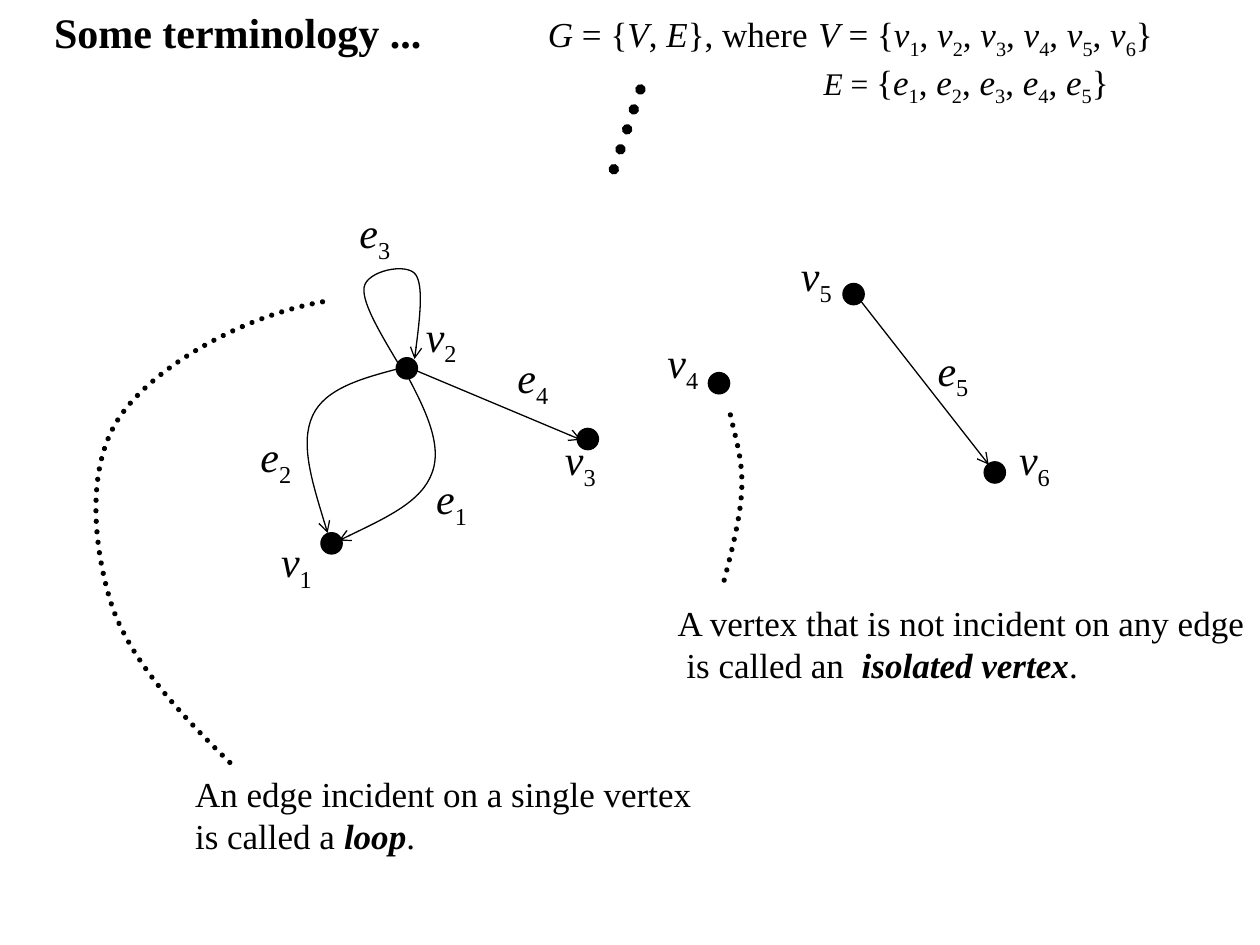
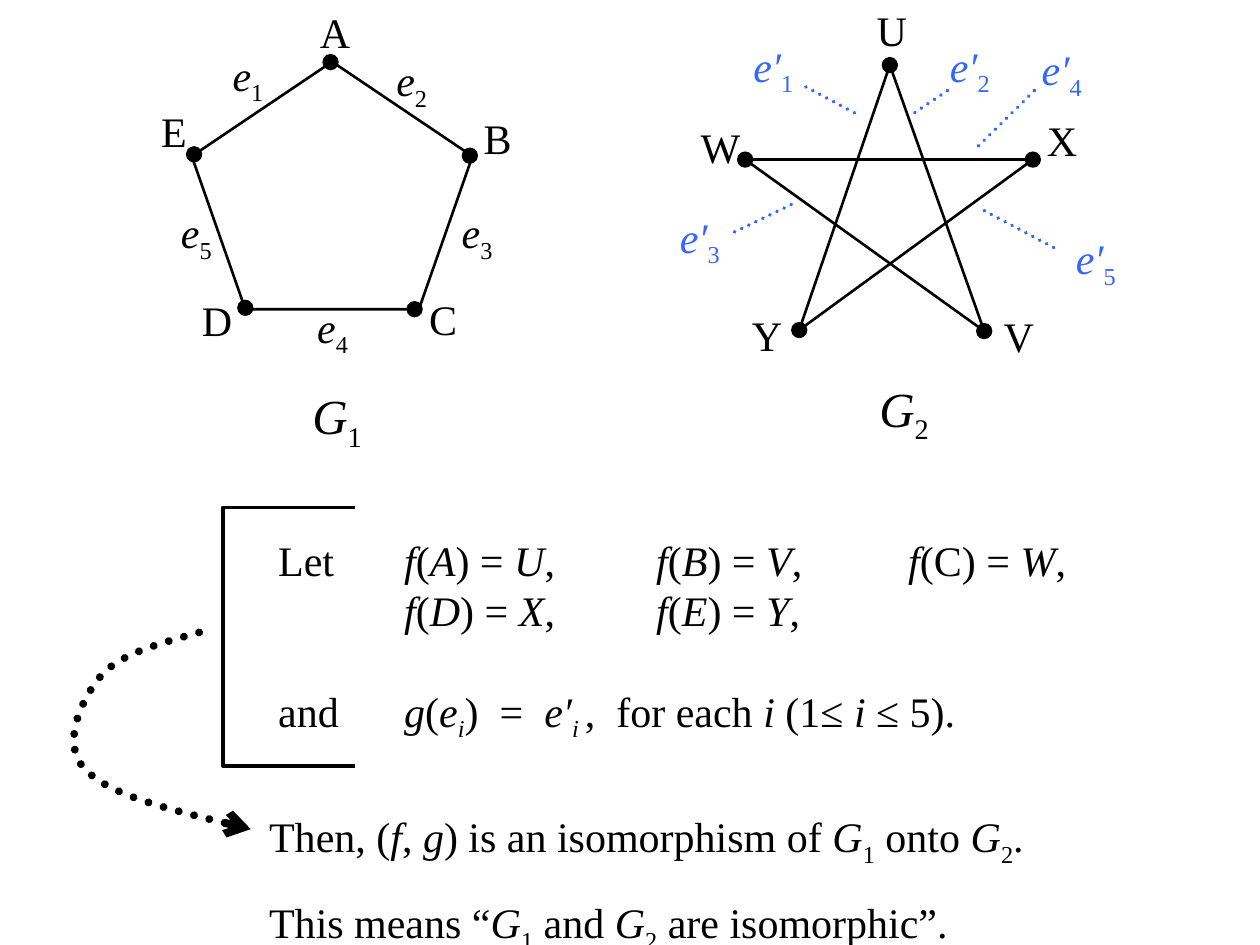
"""Builds two slides on graph terms and graph isomorphism."""
from dataclasses import dataclass

import lxml.etree
import pptx
import pptx.dml.color
import pptx.enum.dml
import pptx.enum.shapes
import pptx.enum.text
import pptx.oxml.ns
import pptx.util

Pt = pptx.util.Pt
qn = pptx.oxml.ns.qn
Kind = pptx.enum.shapes.MSO_SHAPE
Anchor = pptx.enum.text.MSO_ANCHOR
Align = pptx.enum.text.PP_ALIGN

BLACK = pptx.dml.color.RGBColor(0x00, 0x00, 0x00)
BLUE = pptx.dml.color.RGBColor(0x33, 0x66, 0xFF)
FONT = "Times New Roman"
MARKS = "/*_^+"


@dataclass
class Para:
    text: str
    indent: float = 0
    before: float = 0
    spacing: float | None = None
    tabs: tuple[float, ...] = ()


@dataclass
class Label:
    paras: list[Para]
    left: float
    top: float
    width: float
    height: float = 36
    size: float = 24
    color: pptx.dml.color.RGBColor = BLACK
    anchor: Anchor = Anchor.TOP
    align: Align = Align.LEFT
    wrap: bool = False


@dataclass
class Pen:
    width: float
    color: pptx.dml.color.RGBColor = BLACK
    dots: bool = False
    arrow: bool = False


@dataclass
class Curve:
    points: list[tuple[float, float]]
    pen: Pen


THIN = Pen(0.75)
EDGE = Pen(0.75, arrow=True)
SIDE = Pen(1.5)
NOTE = Pen(3, dots=True)
LEAD = Pen(2.25, BLUE, dots=True)


def ink(line, pen: Pen) -> None:
    """Apply a pen to a line format."""
    line.width = Pt(pen.width)
    line.color.rgb = pen.color
    node = line.color._xFill.getparent()
    if pen.dots:
        line.dash_style = pptx.enum.dml.MSO_LINE.ROUND_DOT
        node.set("cap", "rnd")
    if pen.arrow:
        lxml.etree.SubElement(node, qn("a:tailEnd")).set("type", "arrow")


def write(para, text: str, size: float) -> None:
    """Add runs: / italic, * bold, _ subscript, ^ smaller, + larger."""
    state = dict.fromkeys(MARKS, False)
    chunk = ""
    for char in text + "/":
        if char not in MARKS:
            chunk += char
            continue
        if chunk:
            run = para.add_run()
            run.text = chunk
            if state["/"]:
                run.font.italic = True
            if state["*"]:
                run.font.bold = True
            if state["_"]:
                run._r.get_or_add_rPr().set("baseline", "-25000")
            if state["^"] or state["+"]:
                run.font.size = Pt(size + (4 if state["+"] else -2))
            chunk = ""
        state[char] = not state[char]


def set_tabs(para, stops: tuple[float, ...]) -> None:
    """Give a paragraph left tab stops."""
    tabs = lxml.etree.SubElement(para._p.get_or_add_pPr(), qn("a:tabLst"))
    for stop in stops:
        lxml.etree.SubElement(tabs, qn("a:tab"), pos=str(Pt(stop)), algn="l")


def draw_label(slide, label: Label) -> None:
    """Draw a text box."""
    box = slide.shapes.add_textbox(
        Pt(label.left), Pt(label.top), Pt(label.width), Pt(label.height))
    frame = box.text_frame
    frame.word_wrap = label.wrap
    frame.auto_size = pptx.enum.text.MSO_AUTO_SIZE.SHAPE_TO_FIT_TEXT
    frame.vertical_anchor = label.anchor
    for index, item in enumerate(label.paras):
        para = frame.add_paragraph() if index else frame.paragraphs[0]
        para.alignment = label.align
        if item.indent:
            para._p.get_or_add_pPr().set("marL", str(Pt(item.indent)))
        if item.before:
            para.space_before = Pt(item.before)
        if item.spacing:
            para.line_spacing = item.spacing
        if item.tabs:
            set_tabs(para, item.tabs)
        write(para, item.text, label.size)
        para.font.name = FONT
        para.font.size = Pt(label.size)
        para.font.color.rgb = label.color


def draw_shape(slide, kind: Kind, left: float, top: float, width: float,
               height: float, pen: Pen):
    """Draw an unfilled preset shape."""
    shape = slide.shapes.add_shape(kind, Pt(left), Pt(top), Pt(width), Pt(height))
    shape.shadow.inherit = False
    shape.fill.background()
    ink(shape.line, pen)
    return shape


def draw_dot(slide, x: float, y: float, size: float) -> None:
    """Draw a vertex about its centre."""
    dot = draw_shape(slide, Kind.OVAL, x - size / 2, y - size / 2, size, size, THIN)
    dot.fill.solid()
    dot.fill.fore_color.rgb = BLACK


def draw_line(slide, start: tuple[float, float], end: tuple[float, float],
              pen: Pen) -> None:
    """Draw a straight line."""
    line = slide.shapes.add_connector(
        pptx.enum.shapes.MSO_CONNECTOR.STRAIGHT, *map(Pt, start + end))
    ink(line.line, pen)
    lxml.etree.SubElement(line._element.spPr, qn("a:effectLst"))


def draw_curve(slide, curve: Curve) -> None:
    """Draw an open outline of cubic pieces, three points to a piece."""
    points = [(Pt(x), Pt(y)) for x, y in curve.points]
    maker = slide.shapes.build_freeform(*points[0])
    maker.add_line_segments(points[1:], close=False)
    shape = maker.convert_to_shape()
    shape.shadow.inherit = False
    shape.fill.background()
    ink(shape.line, curve.pen)
    track = next(shape._element.iter(qn("a:path")))
    steps = track.findall(qn("a:lnTo"))
    for first in range(0, len(steps), 3):
        piece = lxml.etree.SubElement(track, qn("a:cubicBezTo"))
        for step in steps[first:first + 3]:
            piece.append(step[0])
            track.remove(step)


def series(letter: str, count: int) -> str:
    """List a letter with its numbers below the line."""
    return ", ".join(f"/{letter}/_{n}_" for n in range(1, count + 1))


def draw_terms(slide) -> None:
    """Draw the slide of terms."""
    mid = Anchor.MIDDLE
    draw_label(slide, Label([Para("*Some terminology ...*")], 23.8, 0, 224.6))
    draw_label(slide, Label([
        Para("/G/ = {/V/, /E/}, where+ +/V/ = {" + series("v", 6) + "}"),
        Para("^/E/ = ^{" + series("e", 5) + "}", indent=157.5),
    ], 306, 2.5, 363.6, 59.8, 20, anchor=mid))
    draw_line(slide, (366, 51.1), (349.4, 100.8), Pen(6, dots=True))
    draw_label(slide, Label([
        Para("An edge incident on a single vertex"),
        Para("is called a */loop/*."),
    ], 104.4, 437.8, 300.2, 55.4, 20, anchor=mid))
    draw_label(slide, Label([
        Para("A vertex that is not incident on any edge"),
        Para("is called an  */isolated vertex/*.", indent=5),
    ], 380.2, 339.8, 340.6, 55.4, 20, anchor=mid))

    for x, y in [(189.5, 310.5), (232.5, 210.5), (335.9, 250.9),
                 (410.9, 219), (487.8, 168.1), (568.5, 270)]:
        draw_dot(slide, x, y, 12.2)
    names = {
        "e": [(241.5, 268.6), (141.1, 244.6), (197.7, 116.6), (288, 199.4),
              (528, 195.1)],
        "v": [(152.9, 304.6), (235.6, 175.7), (315.1, 246.2), (373.7, 190.8),
              (450, 141.1), (574.6, 246.2)],
    }
    for letter, spots in names.items():
        for n, (x, y) in enumerate(spots, 1):
            draw_label(slide, Label([Para(f"/{letter}/_{n}_")], x, y, 33.1,
                                    anchor=mid, align=Align.CENTER))
    draw_line(slide, (234, 210.2), (331.9, 251.3), EDGE)
    draw_line(slide, (487.4, 166.3), (565, 265.5), EDGE)
    for curve in [
        Curve([(229.7, 208.8), (241.2, 230.4), (253.4, 252.7), (247, 270),
               (241.2, 286.6), (217.4, 297.4), (193.7, 308.9)], EDGE),
        Curve([(229.7, 210.2), (207.4, 216), (185.8, 221.8), (178.6, 237.6),
               (171.4, 253.4), (179.3, 278.6), (187.2, 304.6)], EDGE),
        Curve([(230.4, 212.4), (218.9, 193), (206.6, 173.5), (208.1, 164.2),
               (209.5, 154.8), (232.6, 149.8), (237.6, 157), (241.9, 163.4),
               (239.8, 184.3), (236.9, 205.2)], EDGE),
        Curve([(184.3, 172.5), (139.7, 180.4), (89.3, 208.5), (69.1, 237.3),
               (49, 265.4), (53.1, 310.7), (63.2, 343.9), (74, 377.7),
               (104.2, 409.4), (132.3, 436.7)], NOTE),
        Curve([(417.4, 237.1), (420.3, 250.6), (424.6, 262.8), (423.9, 279.4),
               (423.2, 295.9), (418.1, 315.4), (412.4, 337)], NOTE),
    ]:
        draw_curve(slide, curve)


def draw_graphs(slide) -> None:
    """Draw the slide of two like graphs."""
    draw_shape(slide, Kind.REGULAR_PENTAGON, 109.6, 35.3, 160.4, 141.5, SIDE)
    spots = {
        "A": (188.9, 35.5), "B": (268.5, 89), "C": (236.9, 176.7),
        "D": (140.2, 175.9), "E": (110.9, 88.2), "U": (508.5, 37.2),
        "V": (562.4, 189.2), "W": (425.8, 91.2), "X": (590.2, 91.2),
        "Y": (456.7, 188.6),
    }
    for x, y in spots.values():
        draw_dot(slide, x, y, 8.6)
    for start, end in ["UV", "UY", "WX", "WV", "XY"]:
        draw_line(slide, spots[start], spots[end], SIDE)
    for name, x, y, width in [
        ("A", 175.7, 0, 31.7), ("B", 269.3, 60.5, 30.2), ("C", 238.1, 164.2, 30.2),
        ("D", 108.3, 164.9, 31.7), ("E", 85, 56.9, 28.8), ("U", 493.9, -0.7, 31.7),
        ("V", 566.4, 173.8, 31.7), ("W", 393.3, 65.8, 37.4),
        ("X", 591.1, 61.9, 31.7), ("Y", 422.6, 173.5, 31.7),
    ]:
        draw_label(slide, Label([Para(name)], x, y, width))
    for n, (x, y) in enumerate([(171.4, 217), (495.4, 212.7)], 1):
        draw_label(slide, Label([Para(f"/G/_{n}_")], x, y, 43.9, 41, 28))
    for n, (x, y) in enumerate([(125.8, 24.5), (219.4, 27.8), (256.8, 114.5),
                                (174.2, 168.5), (96.3, 114.5)], 1):
        draw_label(slide, Label([Para(f"/e/_{n}_")], x, y, 33.1))
    for n, (x, y) in enumerate([(423.4, 19.4), (535.7, 19.4), (381.4, 117.1),
                                (588.2, 21.4), (607.7, 129.4)], 1):
        draw_label(slide, Label([Para(f"/e′/_{n}_")], x, y, 46.8, color=BLUE,
                                wrap=True))
    for start, end in [((460.5, 49.7), (488.9, 64.8)), ((541.4, 51.8), (522, 64.8)),
                       ((419.8, 132.5), (454.3, 115.9)),
                       ((591.1, 51.8), (556.8, 85.7)),
                       ((562.5, 120.4), (605.5, 143.3))]:
        draw_line(slide, start, end, LEAD)

    tabs = (72, 216, 360)
    draw_label(slide, Label([
        Para("Let\t/f/(/A/) = /U/,\t/f/(/B/) = /V/,\t/f/(C) = /W/,", tabs=tabs),
        Para("\t/f/(/D/) = /X/,\t/f/(/E/) = /Y/,", tabs=tabs),
        Para("and\t/g/(/e_i_/)  =  /e′_i _/,  for each /i/ (1≤ /i /≤ 5).",
             before=28.8, tabs=tabs),
    ], 151.9, 301.7, 464.4, 122.4, wrap=True))
    draw_label(slide, Label([
        Para("Then, (/f/, /g/) is an isomorphism of /G/_1_ onto /G/_2_."),
        Para("This means “/G/_1_ and /G/_2_ are isomorphic”.", spacing=1.5),
    ], 146.7, 459.7, 447.8, 79.2))
    bracket = draw_shape(slide, Kind.LEFT_BRACKET, 127.4, 290, 75.6, 147.6,
                         Pen(2.25))
    bracket.adjustments[0] = 0
    draw_curve(slide, Curve([
        (113.8, 361.4), (90.7, 367.9), (68.2, 373.7), (57.4, 386.6), (46.6, 399.6),
        (34.4, 425.5), (48.8, 439.7), (62.4, 454.1), (103, 464.2), (143.3, 473.8),
    ], Pen(4.5, dots=True, arrow=True)))


def main() -> None:
    """Build and save the deck."""
    deck = pptx.Presentation()
    deck.slide_width, deck.slide_height = Pt(720), Pt(540)
    for draw in (draw_terms, draw_graphs):
        draw(deck.slides.add_slide(deck.slide_layouts[6]))
    deck.save("out.pptx")


if __name__ == "__main__":
    main()
